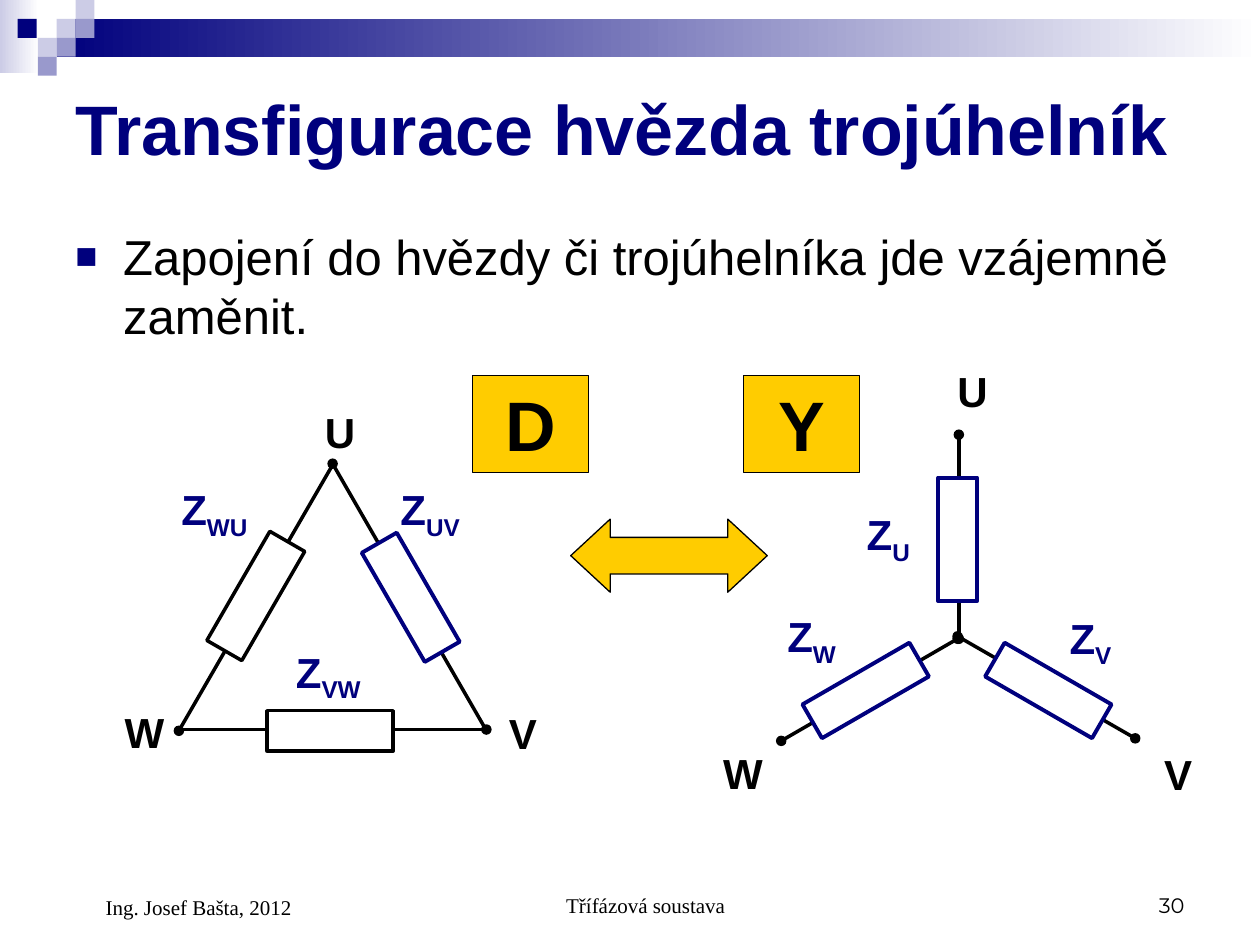
from pptx import Presentation
from pptx.dml.color import RGBColor as RGB
from pptx.enum.shapes import MSO_CONNECTOR as Link, MSO_SHAPE as Kind
from pptx.enum.text import MSO_ANCHOR as Anchor, PP_ALIGN as Align
from pptx.oxml.xmlchemy import OxmlElement as Node
from pptx.util import Inches, Pt

THEME = {
    "navy": "00007D", "mid": "9999CC", "pale": "CCCCE6", "gold": "FFCC00",
    "black": "000000", "white": "FFFFFF",
    "sans": "Arial", "serif": "Times New Roman", "page": "Montserrat",
    "title": 40, "body": 28, "label": 24, "foot": 12,
    "wire": 2, "part": 2.25, "thin": 0.75,
}

TITLE = "Transfigurace hvězda trojúhelník"
BODY = "Zapojení do hvězdy či trojúhelníka jde vzájemně zaměnit."

# Header: gradient bars (box, left colour), then small squares (left, top, colour)
BARS = [((0, 0, 0.31, 0.58), "pale"), ((0.45, 0.15, 9.55, 0.3), "navy")]
TILES = [
    (0.45, 0.15, "pale"), (0.6, 0, "pale"), (0.6, 0.15, "mid"), (0.3, 0.3, "pale"),
    (0.14, 0.15, "navy"), (0.45, 0.3, "mid"), (0.3, 0.45, "mid"),
]

# Each branch: wire start, wire end, impedance centre, turn, outline colour, width
DELTA = {
    "size": (1, 0.32), "head": False,
    "arms": [
        ((1.42, 5.79), (3.86, 5.79), (2.62, 5.8), 0, "black", "wire"),
        ((3.85, 5.78), (2.64, 3.68), (3.26, 4.74), 240, "navy", "part"),
        ((2.64, 3.69), (1.42, 5.8), (2.03, 4.73), 120, "black", "wire"),
    ],
}
STAR = {
    "size": (0.98, 0.31), "head": True,
    "arms": [
        ((7.61, 3.45), (7.61, 5.07), (7.6, 4.28), 90, "navy", "part"),
        ((7.6, 5.05), (9.01, 5.86), (8.32, 5.48), 30, "navy", "part"),
        ((7.6, 5.07), (6.2, 5.88), (6.87, 5.48), 150, "navy", "part"),
    ],
}

NODES = [
    ("U", 2.48, 3.18), ("V", 3.94, 5.57), ("W", 0.89, 5.56),
    ("U", 7.5, 2.85), ("V", 9.14, 5.89), ("W", 5.64, 5.88),
]
LOADS = [
    ("UV", 3.08, 3.79), ("VW", 2.25, 5.08), ("WU", 1.34, 3.79),
    ("U", 6.78, 3.99), ("V", 8.39, 4.81), ("W", 6.15, 4.8),
]
BADGES = [("D", 3.75), ("Y", 5.9)]
FOOT = [
    ("Třífázová soustava", (3.42, 6.83, 3.17, 0.5), "serif", Align.CENTER, 0.24),
    ("30", (7.17, 6.83, 2.33, 0.5), "page", Align.RIGHT, 0),
    ("Ing. Josef Bašta, 2012", (0.5, 6.83, 2.33, 0.52), "serif", Align.LEFT, 0.24),
]


def tint(name):
    return RGB.from_string(THEME[name])


def write(shape, text, size, sub="", color="black", face="sans", bold=False,
          align=Align.LEFT, anchor=Anchor.TOP, left=0, hang=0, bullet=False):
    """Put one paragraph in a shape, with an optional subscript run."""
    frame = shape.text_frame
    frame.word_wrap = True
    frame.vertical_anchor = anchor
    para = frame.paragraphs[0]
    para.alignment = align
    props = para._p.get_or_add_pPr()
    props.set("marL", str(Inches(left)))
    props.set("indent", str(Inches(hang)))
    if bullet:
        mark = Node("a:buClr")
        hue = Node("a:srgbClr")
        hue.set("val", THEME["navy"])
        mark.append(hue)
        props.append(mark)
        for tag, key, val in (("a:buSzPct", "val", "75000"),
                              ("a:buFont", "typeface", THEME["sans"]),
                              ("a:buChar", "char", "■")):
            item = Node(tag)
            item.set(key, val)
            props.append(item)
    for part in filter(None, (text, sub)):
        run = para.add_run()
        run.text = part
        font = run.font
        font.size, font.name, font.bold = Pt(THEME[size]), THEME[face], bold
        font.color.rgb = tint(color)
    if sub:
        font._element.set("baseline", "-25000")


def label(slide, box, text, size, **style):
    write(slide.shapes.add_textbox(*map(Inches, box)), text, size, **style)


def block(slide, box, fill, line=None, width="thin", kind=Kind.RECTANGLE):
    shape = slide.shapes.add_shape(kind, *map(Inches, box))
    shape.shadow.inherit = False
    shape.fill.solid()
    shape.fill.fore_color.rgb = tint(fill)
    if line:
        shape.line.color.rgb = tint(line)
        shape.line.width = Pt(THEME[width])
    else:
        shape.line.fill.background()
    return shape


def wire(slide, start, end, head):
    """Draw a lead with a dot at its end, and at its start if head is set."""
    lead = slide.shapes.add_connector(Link.STRAIGHT, *map(Inches, start + end))
    lead.line.color.rgb = tint("black")
    lead.line.width = Pt(THEME["wire"])
    for tag in ("a:headEnd", "a:tailEnd") if head else ("a:tailEnd",):
        dot = Node(tag)
        dot.set("type", "oval")
        lead.line._get_or_add_ln().append(dot)
    lead._element.spPr.append(Node("a:effectLst"))


def header(slide):
    for box, hue in BARS:
        fill = block(slide, box, hue).fill
        fill.gradient()
        fill.gradient_angle = 180
        for stop, name in zip(fill.gradient_stops, ("white", hue)):
            stop.color.rgb = tint(name)
    for x, y, hue in TILES:
        block(slide, (x, y, 0.15, 0.15), hue)


def circuit(slide, plan):
    wide, high = plan["size"]
    for start, end, (x, y), turn, hue, width in plan["arms"]:
        wire(slide, start, end, plan["head"])
        box = (x - wide / 2, y - high / 2, wide, high)
        block(slide, box, "white", hue, width).rotation = turn


def main():
    deck = Presentation()
    deck.slide_width, deck.slide_height = Inches(10), Inches(7.5)
    slide = deck.slides.add_slide(deck.slide_layouts[6])

    header(slide)
    label(slide, (0.5, 0.5, 9, 1.03), TITLE, "title", color="navy", bold=True,
          anchor=Anchor.MIDDLE)
    label(slide, (0.5, 1.75, 9, 1.26), BODY, "body", left=0.38, hang=-0.38,
          bullet=True)

    for plan in (DELTA, STAR):
        circuit(slide, plan)
    for name, x, y in NODES:
        label(slide, (x, y, 0.58, 0.5), name, "label", bold=True)
    for sub, x, y in LOADS:
        label(slide, (x, y, 0.95, 0.56), "Z", "label", sub=sub, color="navy",
              bold=True)

    arrow = block(slide, (4.53, 4.12, 1.56, 0.58), "gold", "black",
                  kind=Kind.LEFT_RIGHT_ARROW)
    arrow.adjustments[0], arrow.adjustments[1] = 0.5, 0.54
    for name, x in BADGES:
        badge = block(slide, (x, 2.98, 0.92, 0.77), "gold", "black")
        write(badge, name, "title", bold=True, align=Align.CENTER,
              anchor=Anchor.MIDDLE)

    for text, box, face, align, left in FOOT:
        label(slide, box, text, "foot", face=face, align=align, left=left,
              anchor=Anchor.BOTTOM)
    deck.save("out.pptx")


if __name__ == "__main__":
    main()
